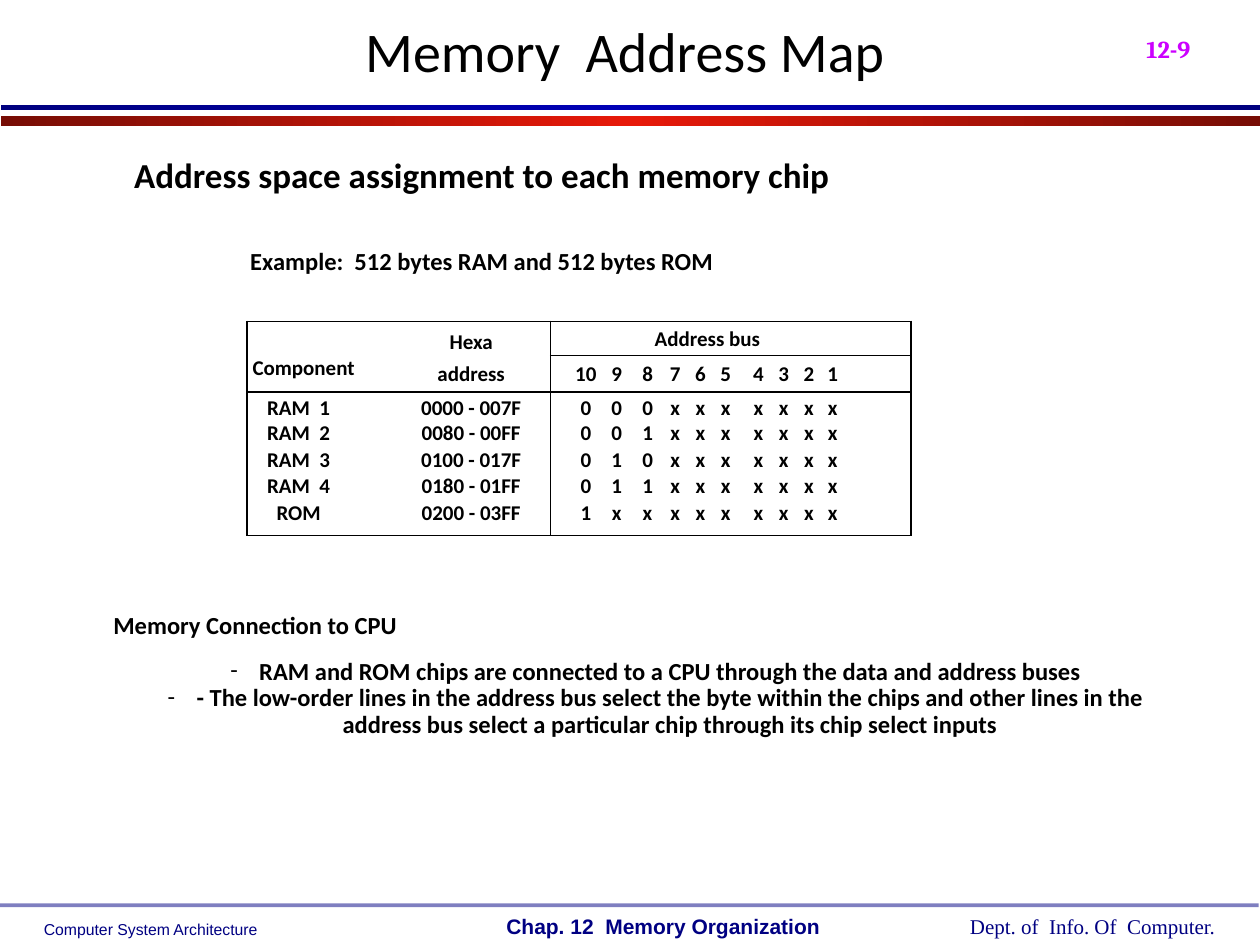
from copy import deepcopy

from lxml import etree
from pptx import Presentation
from pptx.dml.color import RGBColor
from pptx.enum.shapes import MSO_SHAPE
from pptx.enum.text import MSO_ANCHOR, MSO_AUTO_SIZE, PP_ALIGN
from pptx.oxml.ns import qn
from pptx.util import Inches, Pt

RECTANGLE = MSO_SHAPE.RECTANGLE
TOP, BOTTOM = MSO_ANCHOR.TOP, MSO_ANCHOR.BOTTOM
LEFT, CENTER = PP_ALIGN.LEFT, PP_ALIGN.CENTER
NO_AUTOFIT = MSO_AUTO_SIZE.NONE
NAVY = "000082"
BLACK = "000000"

presentation = Presentation()
presentation.slide_width = Inches(10)
presentation.slide_height = Inches(7.5)
slide = presentation.slides.add_slide(presentation.slide_layouts[5])


def color(hex_string):
    return RGBColor.from_string(hex_string)


def write(frame, lines, size, font="Calibri", ink=BLACK, bold=True, align=CENTER, spacing=1.0):
    """Fill a text frame with one paragraph per line and format every run."""
    frame.text = "\n".join(lines)
    for paragraph in frame.paragraphs:
        paragraph.alignment = align
        paragraph.line_spacing = spacing
        for run in paragraph.runs:
            run.font.size = Pt(size)
            run.font.name = font
            run.font.bold = bold
            run.font.color.rgb = color(ink)


# Header bands and footer rule
bands = [
    (0.01, 0.92, 0.08, ["770D05", "E71909", "770D05"]),
    (0.01, 0.83, 0.04, ["00007F", "0000B6", "00007F"]),
    (0, 7.17, 0.03, [NAVY]),
]
for left, top, height, colors in bands:
    band = slide.shapes.add_shape(
        RECTANGLE, Inches(left), Inches(top), Inches(9.99), Inches(height))
    band.shadow.inherit = False
    band.line.fill.background()
    if len(colors) == 1:
        band.fill.solid()
        band.fill.fore_color.rgb = color(colors[0])
        rgb = band.fill._xPr.find(".//" + qn("a:srgbClr"))
        etree.SubElement(rgb, qn("a:alpha"), val="50000")
        continue
    band.fill.gradient()
    band.fill.gradient_angle = 0
    stop_list = band.fill._xPr.find(".//" + qn("a:gsLst"))
    stop_list.append(deepcopy(stop_list[0]))
    for index, (stop, stop_color) in enumerate(zip(band.fill.gradient_stops, colors)):
        stop.position = index / 2
        stop.color.rgb = color(stop_color)

# Title
title = slide.shapes.title
title.left, title.top = Inches(0.75), Inches(0.08)
title.width, title.height = Inches(8.42), Inches(0.64)
title.text_frame.auto_size = NO_AUTOFIT
title.text_frame.vertical_anchor = TOP
write(title.text_frame, ["Memory  Address Map"], 32, bold=False)

# Text boxes: left, top, width, height, wrap, lines, format
text_boxes = {
    "department": (7.6, 7.2, 2.16, 0.3, False, ["Dept. of  Info. Of  Computer."],
                   dict(size=12, font="Times New Roman", ink=NAVY, bold=False, align=LEFT)),
    "course": (0.25, 7.25, 1.9, 0.25, False, ["Computer System Architecture"],
               dict(size=9, font="Arial", ink=NAVY, bold=False, align=LEFT)),
    "chapter": (3.92, 7.2, 2.69, 0.3, False, ["Chap. 12  Memory Organization"],
                dict(size=12, font="Arial", ink=NAVY, align=LEFT)),
    "page": (9, 0, 1.08, 0.56, True, ["12-9"],
             dict(size=24, font="Cambria", ink="CC00FF", align=LEFT)),
    "assignment": (0.96, 1.21, 5.73, 1.03, False,
                   ["Address space assignment to each memory chip",
                    "Example:  512 bytes RAM and 512 bytes ROM"],
                   dict(size=20, spacing=0.9)),
    "connection": (0.73, 4.85, 2.59, 0.25, False, ["Memory Connection to CPU"],
                   dict(size=14, spacing=0.85)),
    "buses": (1.07, 5.2, 8.27, 0.69, True,
              ["RAM and ROM chips are connected to a CPU through the data and address buses",
               "- The low-order lines in the address bus select the byte within the chips and "
               "other lines in the address bus select a particular chip through its chip "
               "select inputs"],
              dict(size=14, spacing=0.9)),
}
frames = {}
for name, (left, top, width, height, wrap, lines, text_format) in text_boxes.items():
    box = slide.shapes.add_textbox(Inches(left), Inches(top), Inches(width), Inches(height))
    frames[name] = box.text_frame
    box.text_frame.word_wrap = wrap
    if name in ("connection", "buses"):
        box.text_frame.margin_left = box.text_frame.margin_right = Inches(0.07)
        box.text_frame.margin_top = box.text_frame.margin_bottom = Inches(0.03)
    write(box.text_frame, lines, **text_format)

page_number = frames["page"].paragraphs[0]
page_number.space_before = Pt(15)
page_number.runs[0].font._element.set("baseline", "-25000")

example = frames["assignment"].paragraphs[1]
example.space_before = Pt(30.5)
example.runs[0].font.size = Pt(14)

for paragraph in frames["buses"].paragraphs:
    properties = paragraph._p.get_or_add_pPr()
    properties.set("marL", str(Inches(0.23)))
    properties.set("indent", str(-Inches(0.23)))
    etree.SubElement(properties, qn("a:buFont"), typeface="Calibri")
    etree.SubElement(properties, qn("a:buChar"), char="-")

# Address map table; the two-line header spans two plain rows
rows = [
    ["", "Hexa", "Address bus"] + [""] * 9,
    ["Component", "address", *"10 9 8 7 6 5 4 3 2 1".split()],
    ["RAM  1", "0000 - 007F", *"000xxxxxxx"],
    ["RAM  2", "0080 - 00FF", *"001xxxxxxx"],
    ["RAM  3", "0100 - 017F", *"010xxxxxxx"],
    ["RAM  4", "0180 - 01FF", *"011xxxxxxx"],
    ["ROM", "0200 - 03FF", *"1xxxxxxxxx"],
]
column_widths = [0.9, 1.51, 0.4, 0.25, 0.24, 0.2, 0.2, 0.2, 0.26, 0.2, 0.2, 0.71]
row_heights = [0.27, 0.29, 0.23, 0.21, 0.21, 0.21, 0.28]
left_margins = {1: 0.25, 2: 0.16, 8: 0.06}
right_margins = {0: 0.08, 11: 0.53}
top_margins = {0: 0.04, 1: 0.05, 2: 0.03}
last_row, last_column = len(rows) - 1, len(column_widths) - 1

table = slide.shapes.add_table(
    len(rows), len(column_widths), Inches(1.96), Inches(2.55),
    Inches(sum(column_widths)), Inches(sum(row_heights))).table
table.first_row = table.horz_banding = False
for column, width in zip(table.columns, column_widths):
    column.width = Inches(width)
for row, height in zip(table.rows, row_heights):
    row.height = Inches(height)
table.cell(0, 2).merge(table.cell(0, last_column))

for r, row_texts in enumerate(rows):
    for c, text in enumerate(row_texts):
        cell = table.cell(r, c)
        cell.fill.background()
        cell.vertical_anchor = TOP
        cell.margin_left = Inches(left_margins.get(c, 0))
        cell.margin_right = Inches(right_margins.get(c, 0))
        cell.margin_top = Inches(top_margins.get(r, 0))
        cell.margin_bottom = 0
        write(cell.text_frame, [text], 12)
        if not text:
            cell.text_frame.paragraphs[0].font.size = Pt(12)
        edges = {
            "a:lnL": c in (0, 2),
            "a:lnR": c in (1, last_column) or (r, c) == (0, 2),
            "a:lnT": r in (0, 2) or (r == 1 and c >= 2),
            "a:lnB": r in (1, last_row) or (r == 0 and c >= 2),
        }
        cell_properties = cell._tc.get_or_add_tcPr()
        for position, (edge, visible) in enumerate(edges.items()):
            border = etree.Element(qn(edge), w=str(Pt(1)))
            if visible:
                fill = etree.SubElement(border, qn("a:solidFill"))
                etree.SubElement(fill, qn("a:srgbClr"), val=BLACK)
            else:
                etree.SubElement(border, qn("a:noFill"))
            cell_properties.insert(position, border)

component, hexa, address_bus = table.cell(1, 0), table.cell(0, 1), table.cell(0, 2)
component.margin_top = component.margin_right = 0
hexa.vertical_anchor = BOTTOM
address_bus.margin_left, address_bus.margin_right = 0, Inches(0.37)

presentation.save("out.pptx")
